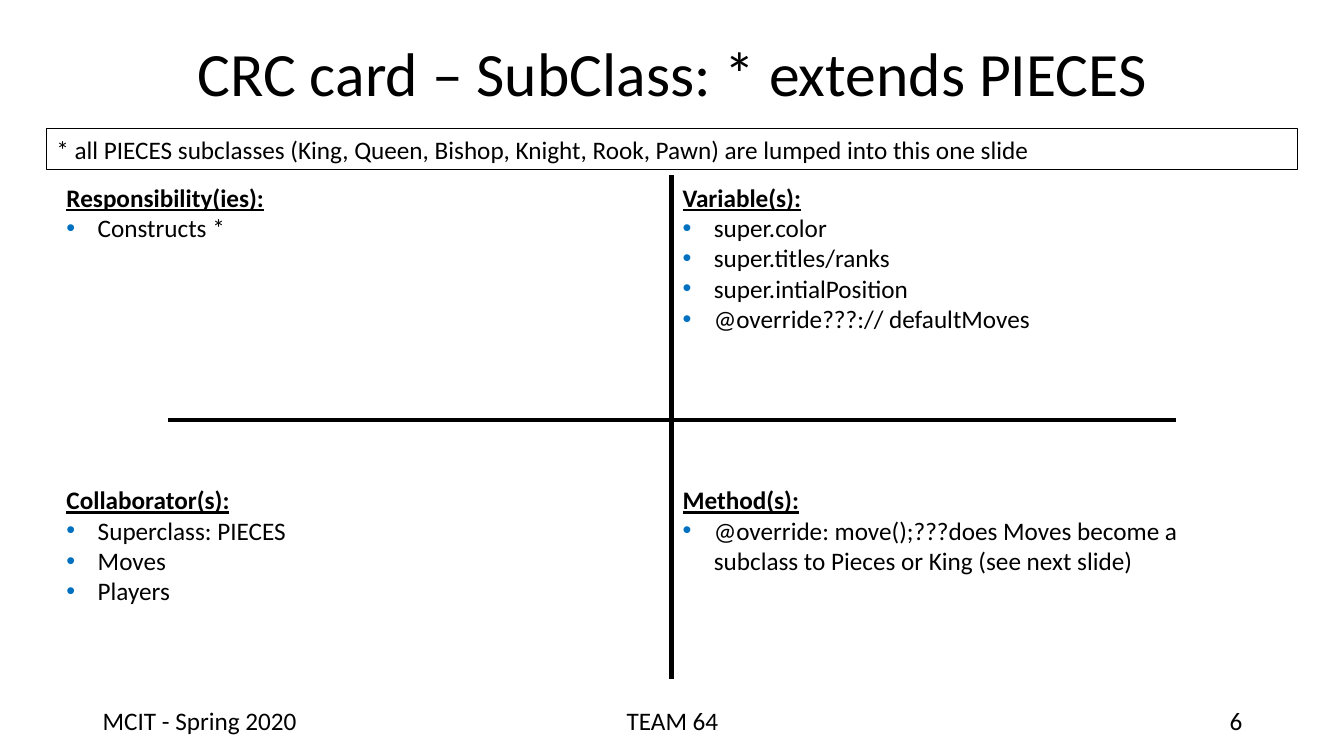
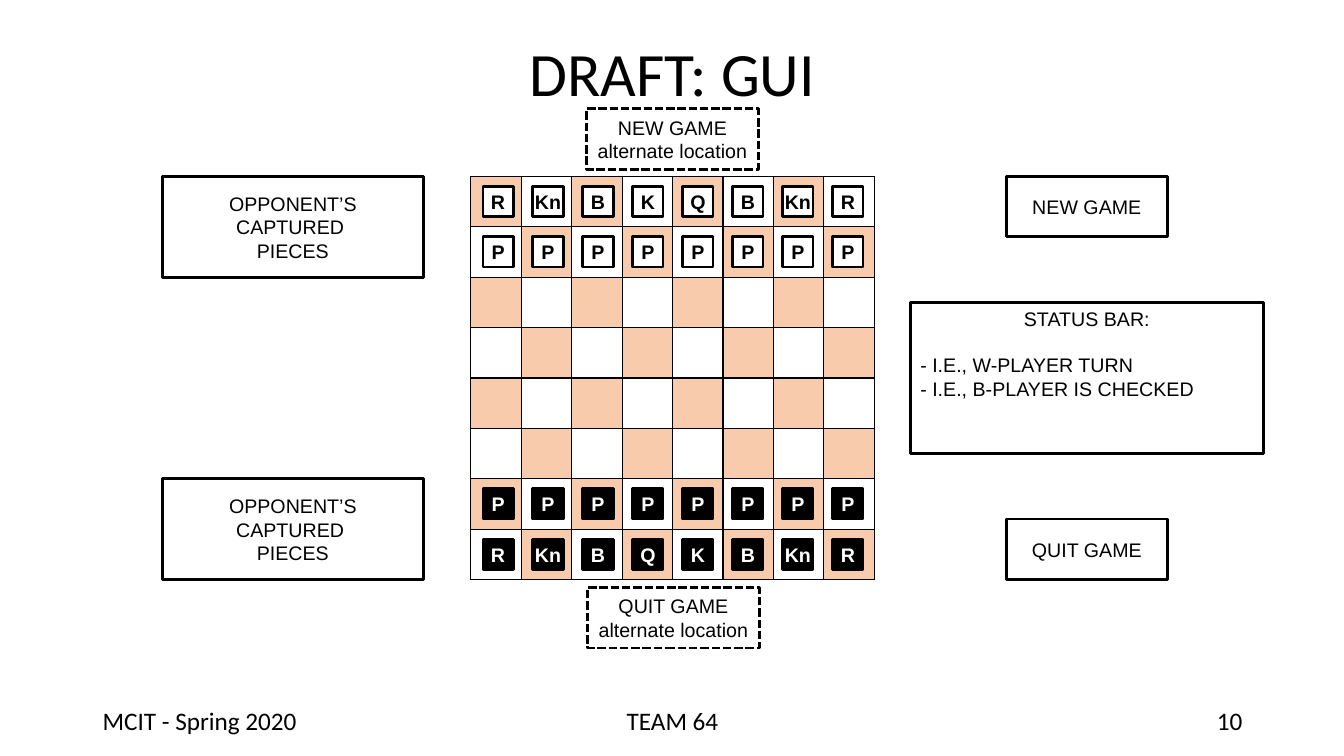
import lxml.etree
import pptx
import pptx.dml.color
import pptx.enum.dml
import pptx.enum.shapes
import pptx.enum.text
import pptx.oxml.ns
import pptx.util

BLACK, WHITE, BULLET_BLUE, SQUARE_TAN = "000000", "FFFFFF", "0070C0", "F8CBAD"
ALIGN = pptx.enum.text.PP_ALIGN
ANCHOR = pptx.enum.text.MSO_ANCHOR
DASH = pptx.enum.dml.MSO_LINE.SQUARE_DOT

BODY = {"name": "Calibri", "size": pptx.util.Pt(18)}
TITLE = {"name": "Calibri", "size": pptx.util.Pt(44)}
HEADING = {**BODY, "bold": True, "underline": True}
LABEL = {"name": "Arial", "size": pptx.util.Pt(14)}
PIECE = {**LABEL, "bold": True}
CENTERED = {"alignment": ALIGN.CENTER}

BOARD_LEFT, BOARD_TOP, SQUARE, SQUARES = 4.67, 1.75, 0.5, 8
PIECE_LEFT, PIECE_STEP, PIECE_SIZE = 4.79, 3.47 / 7, 0.3


def color(value):
    """Turn a hex string into a colour."""
    return pptx.dml.color.RGBColor.from_string(value)


def inches(*lengths):
    """Turn numbers into lengths."""
    return [pptx.util.Inches(length) for length in lengths]


def apply(target, values):
    """Set attributes from a dict of format values."""
    for name, value in values.items():
        setattr(target, name, value)


def add_xml(parent, tag, **attributes):
    """Append a drawing element with attributes."""
    return lxml.etree.SubElement(parent, pptx.oxml.ns.qn(tag), attributes)


def set_frame(frame, inset=None, anchor=ANCHOR.TOP):
    """Set wrapping, anchor and margins of a text frame."""
    apply(frame, {"word_wrap": True, "vertical_anchor": anchor})
    if inset is not None:
        sides = ("margin_left", "margin_top", "margin_right", "margin_bottom")
        apply(frame, dict.fromkeys(sides, pptx.util.Inches(inset)))


def add_paragraph(frame, text, font, layout=None, font_color=BLACK):
    """Write one paragraph, using the empty first one if there is one."""
    first = frame.paragraphs[0]
    paragraph = frame.add_paragraph() if first.runs else first
    run = paragraph.add_run()
    run.text = text
    apply(run.font, font)
    run.font.color.rgb = color(font_color)
    apply(paragraph, layout or {})
    return paragraph


def add_bullet(paragraph):
    """Give a paragraph a hanging blue bullet."""
    properties = paragraph._p.get_or_add_pPr()
    indent = pptx.util.Inches(0.31)
    properties.set("marL", str(indent))
    properties.set("indent", str(-indent))
    add_xml(add_xml(properties, "a:buClr"), "a:srgbClr", val=BULLET_BLUE)
    add_xml(properties, "a:buFont", typeface="Arial")
    add_xml(properties, "a:buChar", char="•")


def add_text(slide, place, text, font, layout, anchor=ANCHOR.TOP):
    """Add a text box with one paragraph."""
    frame = slide.shapes.add_textbox(*inches(*place)).text_frame
    set_frame(frame, anchor=anchor)
    add_paragraph(frame, text, font, layout)


def add_box(shapes, place, fill=None, line_width=2, dash=None,
            inset=None, anchor=ANCHOR.MIDDLE):
    """Add an outlined rectangle and return its text frame."""
    shape = shapes.add_shape(pptx.enum.shapes.MSO_SHAPE.RECTANGLE, *inches(*place))
    shape.shadow.inherit = False
    if fill:
        shape.fill.solid()
        shape.fill.fore_color.rgb = color(fill)
    else:
        shape.fill.background()
    shape.line.color.rgb = color(BLACK)
    apply(shape.line, {"width": pptx.util.Pt(line_width), "dash_style": dash})
    set_frame(shape.text_frame, inset, anchor)
    return shape.text_frame


def add_label_box(slide, place, lines, dash=None):
    """Add a rectangle with centred lines of text."""
    frame = add_box(slide.shapes, place, dash=dash)
    for line in lines:
        add_paragraph(frame, line, LABEL, CENTERED)


def add_line(shapes, *ends):
    """Add a thick black straight line."""
    line = shapes.add_connector(pptx.enum.shapes.MSO_CONNECTOR.STRAIGHT, *inches(*ends))
    line.line.color.rgb = color(BLACK)
    line.line.width = pptx.util.Pt(3)
    add_xml(line._element.spPr, "a:effectLst")


def add_quadrant(slide, left, top, heading, items):
    """Add a CRC section: a heading above its bullets."""
    frame = slide.shapes.add_textbox(*inches(left, top, 5.5, 2)).text_frame
    set_frame(frame, inset=0.05)
    add_paragraph(frame, heading, HEADING)
    for item in items:
        add_bullet(add_paragraph(frame, item, BODY))


def add_cell_borders(cell):
    """Draw thin black borders around a table cell."""
    properties = cell._tc.get_or_add_tcPr()
    for tag in ("a:lnL", "a:lnR", "a:lnT", "a:lnB"):
        border = add_xml(properties, tag, w=str(pptx.util.Pt(1)))
        add_xml(add_xml(border, "a:solidFill"), "a:srgbClr", val=BLACK)


def add_board(slide):
    """Add the chequered board as a table."""
    side = SQUARE * SQUARES
    table = slide.shapes.add_table(
        SQUARES, SQUARES, *inches(BOARD_LEFT, BOARD_TOP, side, side)).table
    apply(table, {"first_row": False, "horz_banding": False})
    for row in range(SQUARES):
        for column in range(SQUARES):
            cell = table.cell(row, column)
            add_cell_borders(cell)
            if (row + column) % 2:
                cell.fill.background()
            else:
                cell.fill.solid()
                cell.fill.fore_color.rgb = color(SQUARE_TAN)


def add_pieces(slide, ranks, fill, font_color):
    """Add one player's pieces; ranks maps board rows to piece names."""
    shapes = slide.shapes.add_group_shape().shapes
    for row, names in ranks.items():
        top = BOARD_TOP + row * SQUARE + (SQUARE - PIECE_SIZE) / 2
        for column, name in enumerate(names):
            place = (PIECE_LEFT + column * PIECE_STEP, top, PIECE_SIZE, PIECE_SIZE)
            frame = add_box(shapes, place, fill=fill, inset=0)
            add_paragraph(frame, name, PIECE, CENTERED, font_color)


def add_slide(presentation, title, number):
    """Add a blank slide with the shared title and footer."""
    slide = presentation.slides.add_slide(presentation.slide_layouts[6])
    add_text(slide, (0.92, 0.03, 11.5, 1.45), title, TITLE,
             {**CENTERED, "line_spacing": 0.9}, ANCHOR.MIDDLE)
    for left, width, text, alignment in (
            (0.92, 3, "MCIT - Spring 2020", ALIGN.LEFT),
            (4.42, 4.5, "TEAM 64", ALIGN.CENTER),
            (9.42, 3, number, ALIGN.RIGHT)):
        add_text(slide, (left, 6.95, width, 0.4), text, BODY, {"alignment": alignment})
    return slide


def build_crc_card(presentation):
    """Build the CRC card slide."""
    slide = add_slide(presentation, "CRC card – SubClass: * extends PIECES", "6")
    cross = slide.shapes.add_group_shape().shapes
    add_line(cross, 6.66, 1.74, 6.66, 6.74)
    add_line(cross, 1.67, 4.17, 11.66, 4.17)
    left, right, upper, lower = 0.61, 6.72, 1.76, 4.76
    add_quadrant(slide, left, upper, "Responsibility(ies):", ["Constructs * "])
    add_quadrant(slide, left, lower, "Collaborator(s):",
                 ["Superclass: PIECES", "Moves", "Players"])
    add_quadrant(slide, right, upper, "Variable(s):",
                 ["super.color", "super.titles/ranks", "super.intialPosition",
                  "@override???:// defaultMoves"])
    add_quadrant(slide, right, lower, "Method(s):",
                 ["@override: move();???does Moves become a subclass to "
                  "Pieces or King (see next slide)"])
    note = add_box(slide.shapes, (0.46, 1.28, 12.41, 0.4), line_width=0.75,
                   anchor=ANCHOR.TOP)
    add_paragraph(note, "* all PIECES subclasses (King, Queen, Bishop, Knight, Rook, "
                  "Pawn) are lumped into this one slide", BODY, {"alignment": ALIGN.LEFT})


def build_gui_draft(presentation):
    """Build the game window draft slide."""
    slide = add_slide(presentation, "DRAFT: GUI", "10")
    add_board(slide)
    for top in (1.75, 4.75):
        add_label_box(slide, (1.61, top, 2.59, 1), ["OPPONENT’S", "CAPTURED ", "PIECES"])
    pawns = ["P"] * SQUARES
    add_pieces(slide, {0: "R Kn B K Q B Kn R".split(), 1: pawns}, WHITE, BLACK)
    add_pieces(slide, {6: pawns, 7: "R Kn B Q K B Kn R".split()}, BLACK, WHITE)

    status = add_box(slide.shapes, (9.03, 3, 3.5, 1.5), anchor=ANCHOR.TOP)
    add_paragraph(status, "STATUS BAR:", LABEL,
                  {**CENTERED, "space_after": pptx.util.Pt(16)})
    for line in ("- I.E., W-PLAYER TURN", "- I.E., B-PLAYER IS CHECKED"):
        add_paragraph(status, line, LABEL, {"alignment": ALIGN.LEFT})

    for name, top, other_left, other_top in (("NEW GAME", 1.75, 5.82, 1.08),
                                             ("QUIT GAME", 5.15, 5.83, 5.83)):
        add_label_box(slide, (9.98, top, 1.6, 0.6), [name])
        add_label_box(slide, (other_left, other_top, 1.7, 0.6),
                      [name, "alternate location"], DASH)


def main():
    """Build and save the presentation."""
    presentation = pptx.Presentation()
    presentation.slide_width, presentation.slide_height = inches(13.33, 7.5)
    build_crc_card(presentation)
    build_gui_draft(presentation)
    presentation.save("out.pptx")


main()
